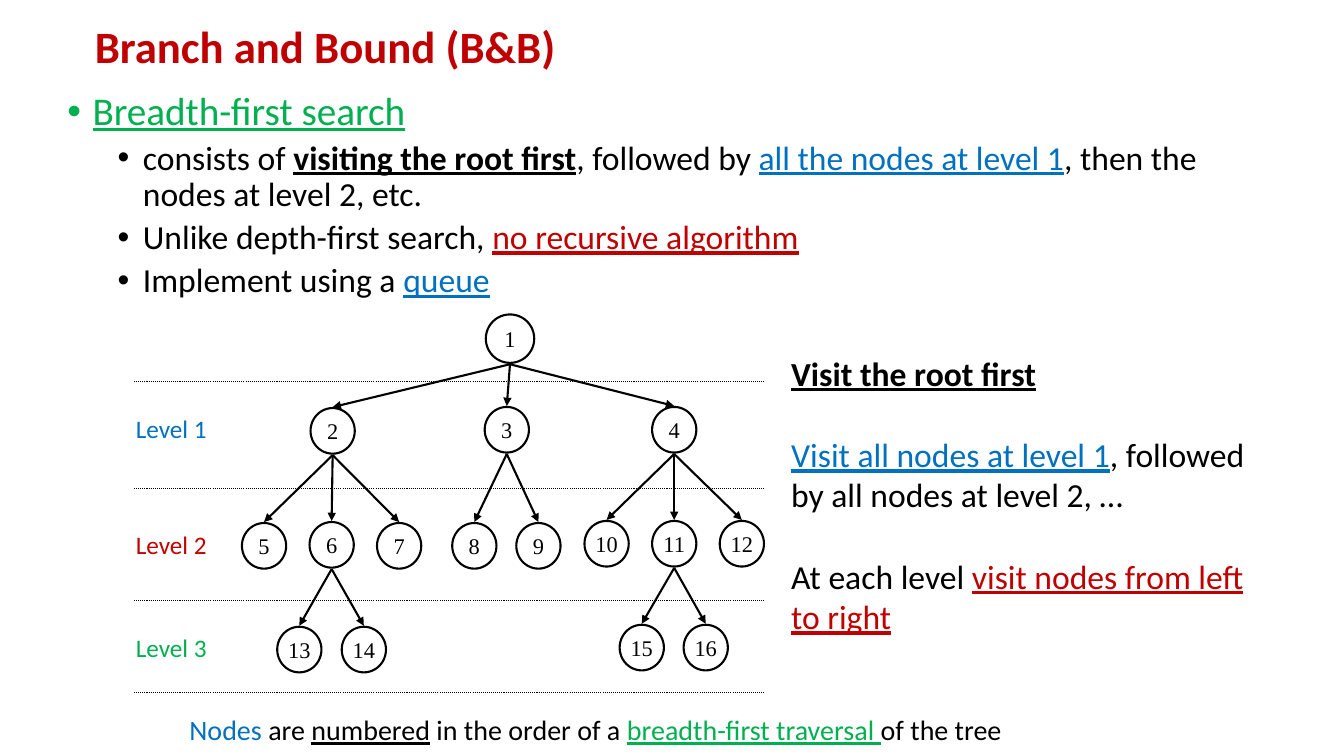
from dataclasses import dataclass

from lxml.etree import SubElement
from pptx import Presentation
from pptx.dml.color import RGBColor
from pptx.enum.dml import MSO_LINE
from pptx.enum.shapes import MSO_CONNECTOR as Connector, MSO_SHAPE as Shape
from pptx.enum.text import MSO_ANCHOR as Anchor, MSO_AUTO_SIZE as AutoSize, PP_ALIGN as Align
from pptx.oxml.ns import qn
from pptx.util import Pt


@dataclass(frozen=True)
class Theme:
    black: str = "000000"
    red: str = "C00000"
    green: str = "00B050"
    blue: str = "0070C0"
    font: str = "Calibri"
    node_font: str = "Times New Roman"
    title: int = 32
    topic: int = 28
    body: int = 24
    caption: int = 20
    label: int = 18
    node: int = 16


THEME = Theme()


def add_text(paragraph, text, size=THEME.body, color=THEME.black, font=THEME.font,
             bold=False, underline=False):
    run = paragraph.add_run()
    run.text = text
    run.font.size = Pt(size)
    run.font.name = font
    run.font.bold = bold
    run.font.underline = underline
    run.font.color.rgb = RGBColor.from_string(color)


class SlideBuilder:
    """Draws styled elements on the current slide, with lengths in points."""

    def __init__(self, slide, theme):
        self.slide = slide
        self.theme = theme
        self.shapes = slide.shapes

    def title(self, text, left, top, width, height):
        shape = self.slide.shapes.title
        shape.left, shape.top, shape.width, shape.height = map(Pt, (left, top, width, height))
        frame = shape.text_frame
        frame.auto_size = AutoSize.NONE
        frame.vertical_anchor = Anchor.MIDDLE
        paragraph = frame.paragraphs[0]
        paragraph.alignment = Align.LEFT
        paragraph.line_spacing = 0.9
        add_text(paragraph, text, size=self.theme.title, color=self.theme.red, bold=True)

    def text_box(self, box, paragraphs, insets=(7.2, 3.6, 7.2, 3.6), wrap=True, gap=0):
        frame = self.slide.shapes.add_textbox(*map(Pt, box)).text_frame
        frame.word_wrap = wrap
        (frame.margin_left, frame.margin_top,
         frame.margin_right, frame.margin_bottom) = map(Pt, insets)
        for index, runs in enumerate(paragraphs):
            paragraph = frame.add_paragraph() if index else frame.paragraphs[0]
            paragraph.space_before = Pt(gap if index else 0)
            for text, style in runs:
                add_text(paragraph, text, **style)
        return frame

    def bullet(self, paragraph, level, indent, space):
        paragraph.level = level
        paragraph.line_spacing = 0.9
        paragraph.space_before = Pt(space)
        properties = paragraph._p.get_or_add_pPr()
        properties.set("marL", str(Pt(indent)))
        properties.set("indent", str(-Pt(18)))
        SubElement(properties, qn("a:buFont")).set("typeface", "Arial")
        SubElement(properties, qn("a:buChar")).set("char", "•")

    def node(self, number, center_x, center_y, width, height):
        shape = self.shapes.add_shape(Shape.OVAL, Pt(center_x - width / 2),
                                      Pt(center_y - height / 2), Pt(width), Pt(height))
        shape.shadow.inherit = False
        shape.fill.background()
        shape.line.color.rgb = RGBColor.from_string(self.theme.black)
        shape.line.width = Pt(1.5)
        frame = shape.text_frame
        frame.word_wrap = False
        frame.vertical_anchor = Anchor.MIDDLE
        paragraph = frame.paragraphs[0]
        paragraph.alignment = Align.CENTER
        add_text(paragraph, str(number), size=self.theme.node, font=self.theme.node_font)

    def line(self, start, end, width, dotted=False, arrow=False):
        connector = self.shapes.add_connector(Connector.STRAIGHT, *map(Pt, (*start, *end)))
        connector.line.color.rgb = RGBColor.from_string(self.theme.black)
        connector.line.width = Pt(width)
        if dotted:
            connector.line.dash_style = MSO_LINE.ROUND_DOT
        properties = connector.element.spPr
        if arrow:
            SubElement(properties.find(qn("a:ln")), qn("a:tailEnd")).set("type", "triangle")
        SubElement(properties, qn("a:effectLst"))

    def tree(self, centers, children, root_size, node_size):
        self.shapes = self.slide.shapes.add_group_shape().shapes
        sizes = {number: root_size if number == 1 else node_size for number in centers}
        for parent, offspring in children.items():
            parent_x, parent_y = centers[parent]
            bottom = parent_y + sizes[parent][1] / 2 + 1
            for child in offspring:
                child_x, child_y = centers[child]
                top = child_y - sizes[child][1] / 2 - 0.7
                self.line((parent_x, bottom), (child_x, top), 1.5, arrow=True)
        for number, center in centers.items():
            self.node(number, *center, *sizes[number])
        self.shapes = self.slide.shapes


NODE_CENTERS = {
    1: (364.3, 241.9),
    2: (237.6, 307.8), 3: (362, 307), 4: (481.6, 307),
    5: (188.6, 389.9), 6: (236.9, 389.2), 7: (285.1, 389.9),
    8: (338.8, 389.9), 9: (384.6, 389.9),
    10: (433.3, 388.4), 11: (481.6, 388.4), 12: (529.9, 388.4),
    13: (213.8, 464), 14: (259.9, 464), 15: (458.4, 462.6), 16: (504.1, 462.6),
}
CHILDREN = {1: (2, 3, 4), 2: (5, 6, 7), 3: (8, 9), 4: (10, 11, 12),
            6: (13, 14), 11: (15, 16)}


def main():
    presentation = Presentation()
    presentation.slide_width, presentation.slide_height = Pt(960), Pt(540)
    slide = presentation.slides.add_slide(presentation.slide_layouts[5])
    builder = SlideBuilder(slide, THEME)
    plain = {}
    strong = dict(bold=True, underline=True)
    red, green, blue = (dict(color=color, underline=True)
                        for color in (THEME.red, THEME.green, THEME.blue))

    builder.title("Branch and Bound (B&B)", 60.5, 7.9, 828, 54)
    search = builder.text_box((41, 62, 866, 160), [
        [("Breadth-first search", dict(green, size=THEME.topic))],
        [("consists of ", plain), ("visiting the root first", strong),
         (", followed by ", plain), ("all the nodes at level 1", blue),
         (", then the nodes at level 2, etc.", plain)],
        [("Unlike depth-first search, ", plain), ("no recursive algorithm", red)],
        [("Implement using a ", plain), ("queue", blue)],
    ])
    for index, paragraph in enumerate(search.paragraphs):
        if index:
            builder.bullet(paragraph, level=1, indent=54, space=5)
        else:
            builder.bullet(paragraph, level=0, indent=18, space=10)

    caption = dict(size=THEME.caption)
    builder.text_box((128.2, 501.8, 610.6, 31.7), [
        [("Nodes", dict(caption, color=THEME.blue)), (" are ", caption),
         ("numbered", dict(caption, underline=True)), (" in the order of a ", caption),
         ("breadth-first traversal ", dict(green, **caption)), ("of the tree", caption)],
    ], insets=(7.2, 7.2, 7.2, 0))

    builder.tree(NODE_CENTERS, CHILDREN, root_size=(34.6, 34.6), node_size=(31.6, 32.6))

    builder.text_box((558, 248.4, 354.2, 211), [
        [("Visit the root first", strong)],
        [("Visit all nodes at level 1", blue),
         (", followed by all nodes at level 2, …", plain)],
        [("At each level ", plain), ("visit nodes from left to right", red)],
    ], insets=(7.2, 3.6, 4.3, 3.6), gap=29.3)

    levels = ((291.6, THEME.blue), (374.4, THEME.red), (448, THEME.green))
    for level, (top, color) in enumerate(levels, 1):
        builder.text_box((95.6, top, 60, 29),
                         [[(f"Level {level}", dict(size=THEME.label, color=color))]],
                         insets=(1.4, 3.6, 7.2, 3.6), wrap=False)
    for height in (272.7, 349.2, 428.6, 494.6):
        builder.line((95.8, height), (545.8, height), 0.75, dotted=True)

    presentation.save("out.pptx")


if __name__ == "__main__":
    main()
